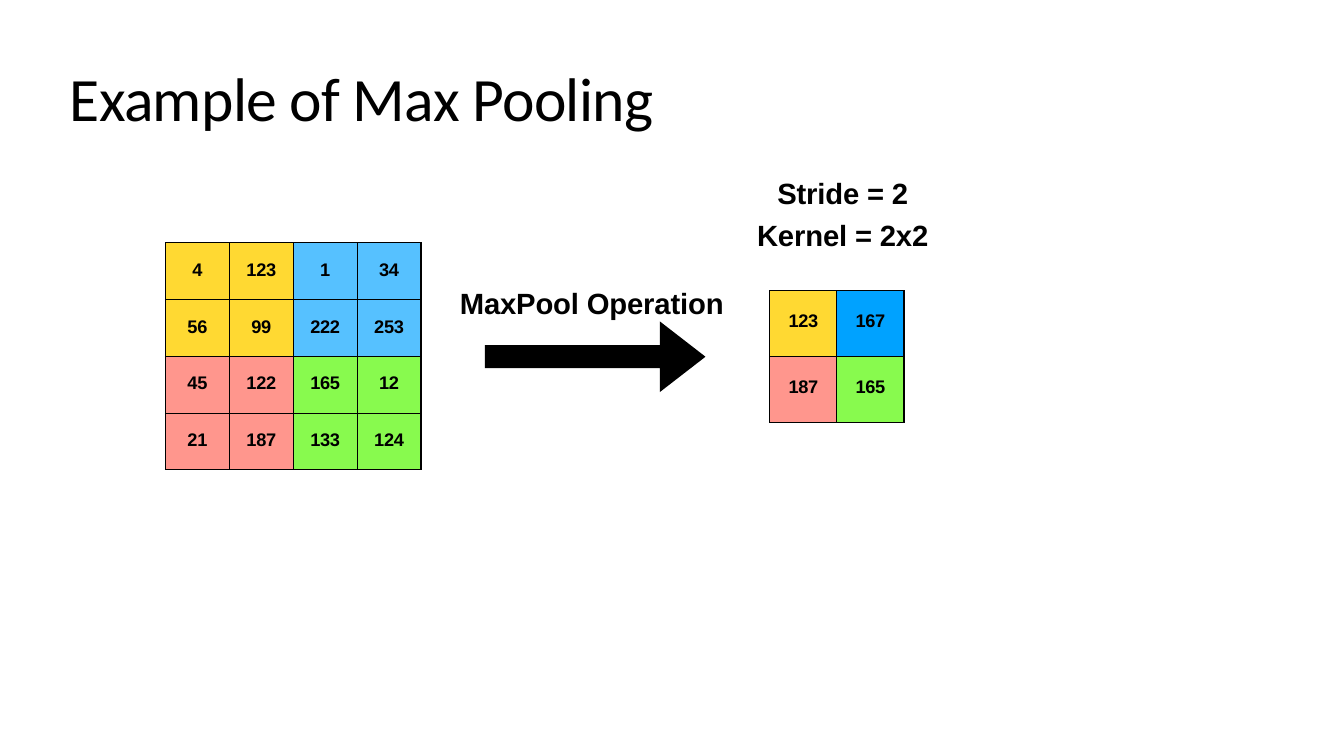
from dataclasses import dataclass

from lxml.etree import SubElement
from pptx import Presentation
from pptx.dml.color import RGBColor
from pptx.enum.text import MSO_ANCHOR, PP_ALIGN
from pptx.oxml.ns import qn
from pptx.util import Cm, Pt


@dataclass(frozen=True)
class Theme:
    heading_font: str = "Calibri"
    body_font: str = "Arial"
    title_size: float = 44
    label_size: float = 20.9
    cell_size: float = 13
    black: str = "000000"
    yellow: str = "FFD932"
    light_blue: str = "56C1FF"
    blue: str = "00A2FF"
    red: str = "FF968D"
    green: str = "88FA4E"


THEME = Theme()

INPUT_VALUES = [
    [4, 123, 1, 34],
    [56, 99, 222, 253],
    [45, 122, 165, 12],
    [21, 187, 133, 124],
]
INPUT_COLORS = [[THEME.yellow, THEME.light_blue], [THEME.red, THEME.green]]
POOLED_VALUES = [[123, 167], [187, 165]]
POOLED_COLORS = [[THEME.yellow, THEME.blue], [THEME.red, THEME.green]]
ARROW_POINTS = [
    (16.63, 8.1), (16.63, 8.7), (12.22, 8.7), (12.22, 9.28),
    (16.63, 9.28), (16.63, 9.88), (17.78, 8.99),
]


def write_text(paragraph, text, *, size, font=THEME.body_font, bold=True,
               align=PP_ALIGN.LEFT, indent=0, before=0, line_spacing=1.0,
               tracking=-0.1):
    paragraph.alignment = align
    paragraph.space_before = Pt(before)
    paragraph.line_spacing = line_spacing
    paragraph._p.get_or_add_pPr().set("marL", str(Cm(indent)))
    run = paragraph.add_run()
    run.text = text
    run.font.name = font
    run.font.size = Pt(size)
    run.font.bold = bold
    run.font.color.rgb = RGBColor.from_string(THEME.black)
    run._r.get_or_add_rPr().set("spc", str(round(tracking * 100)))


def set_margins(target, top):
    target.margin_left = target.margin_right = target.margin_bottom = 0
    target.margin_top = Cm(top)


def add_text_frame(slide, left, top, width, height, anchor=MSO_ANCHOR.TOP):
    box = slide.shapes.add_textbox(Cm(left), Cm(top), Cm(width), Cm(height))
    frame = box.text_frame
    frame.word_wrap = True
    frame.vertical_anchor = anchor
    set_margins(frame, 0.03)
    return frame


def set_borders(cell):
    properties = cell._tc.get_or_add_tcPr()
    for position, side in enumerate(("a:lnL", "a:lnR", "a:lnT", "a:lnB")):
        line = SubElement(properties, qn(side), w=str(Pt(1)))
        fill = SubElement(line, qn("a:solidFill"))
        SubElement(fill, qn("a:srgbClr"), val=THEME.black)
        properties.insert(position, line)


def add_grid(slide, values, colors, left, top, cell_width, cell_height, text_top):
    count = len(values)
    block = count // len(colors)
    frame = slide.shapes.add_table(count, count, Cm(left), Cm(top),
                                   Cm(cell_width * count), Cm(cell_height * count))
    table = frame.table
    table.first_row = table.horz_banding = False
    for row_index, row in enumerate(values):
        table.rows[row_index].height = Cm(cell_height)
        table.columns[row_index].width = Cm(cell_width)
        for column_index, value in enumerate(row):
            cell = table.cell(row_index, column_index)
            color = colors[row_index // block][column_index // block]
            set_margins(cell, text_top)
            cell.fill.solid()
            cell.fill.fore_color.rgb = RGBColor.from_string(color)
            set_borders(cell)
            write_text(cell.text_frame.paragraphs[0], str(value),
                       size=THEME.cell_size, align=PP_ALIGN.CENTER, tracking=-0.2)


def add_arrow(slide, points):
    corners = [(Cm(x), Cm(y)) for x, y in points]
    builder = slide.shapes.build_freeform(*corners[0])
    builder.add_line_segments(corners[1:], close=True)
    shape = builder.convert_to_shape()
    shape.shadow.inherit = False
    shape.fill.solid()
    shape.fill.fore_color.rgb = RGBColor.from_string(THEME.black)
    shape.line.fill.background()


def add_labels(slide):
    frame = add_text_frame(slide, 11.56, 4.22, 11.94, 3.89)
    labels = [
        ("Stride = 2", 8.03, 0.6, 1.2),
        ("Kernel = 2x2", 7.52, 0, 1.2),
        ("MaxPool Operation", 0.03, 23.2, 1.0),
    ]
    for index, (text, indent, before, line_spacing) in enumerate(labels):
        paragraph = frame.add_paragraph() if index else frame.paragraphs[0]
        write_text(paragraph, text, size=THEME.label_size, indent=indent,
                   before=before, line_spacing=line_spacing)


def main():
    presentation = Presentation()
    presentation.slide_width = Cm(33.87)
    presentation.slide_height = Cm(19.05)
    slide = presentation.slides.add_slide(presentation.slide_layouts[6])
    title = add_text_frame(slide, 1.73, 1.47, 16.66, 1.9, MSO_ANCHOR.MIDDLE)
    write_text(title.paragraphs[0], "Example of Max Pooling", size=THEME.title_size,
               font=THEME.heading_font, bold=False, indent=0.03, before=0.6,
               tracking=-0.5)
    add_grid(slide, INPUT_VALUES, INPUT_COLORS, 4.17, 6.12, 1.61, 1.43, 0.43)
    add_grid(slide, POOLED_VALUES, POOLED_COLORS, 19.4, 7.33, 1.69, 1.66, 0.52)
    add_arrow(slide, ARROW_POINTS)
    add_labels(slide)
    presentation.save("out.pptx")


if __name__ == "__main__":
    main()
